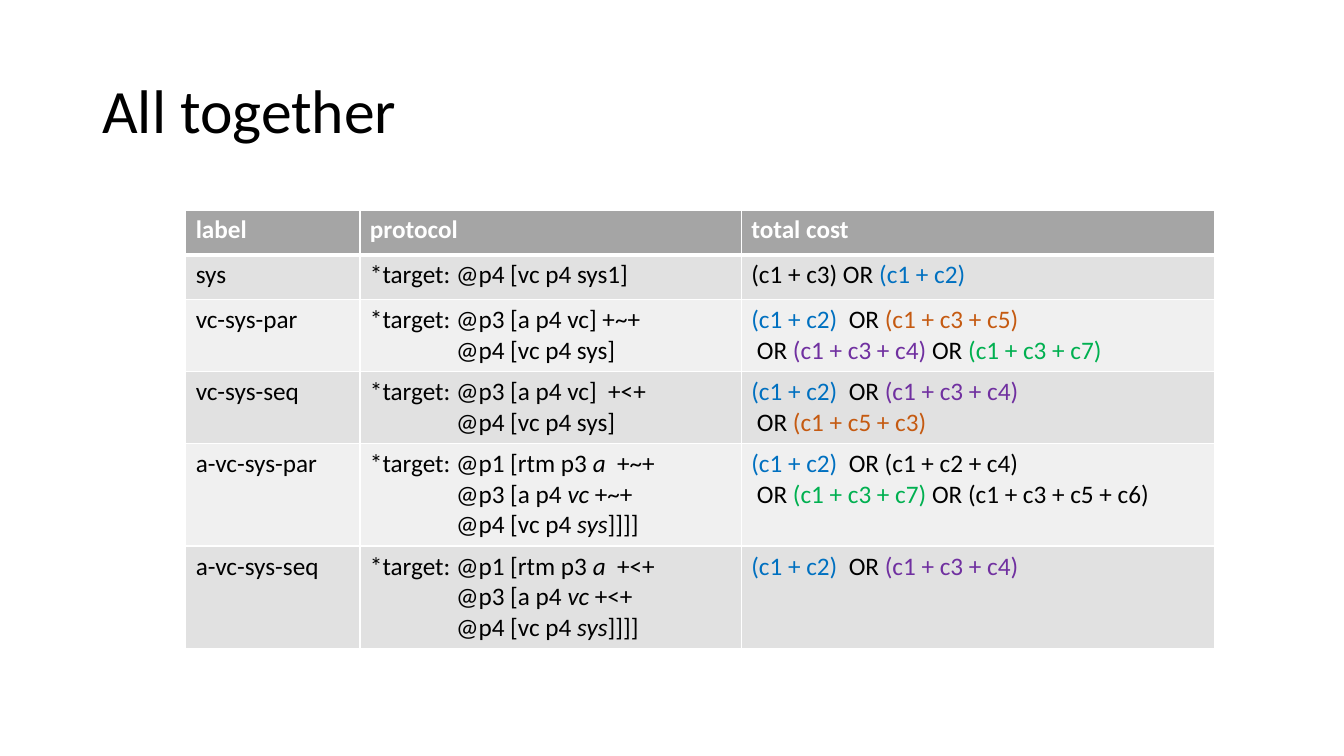
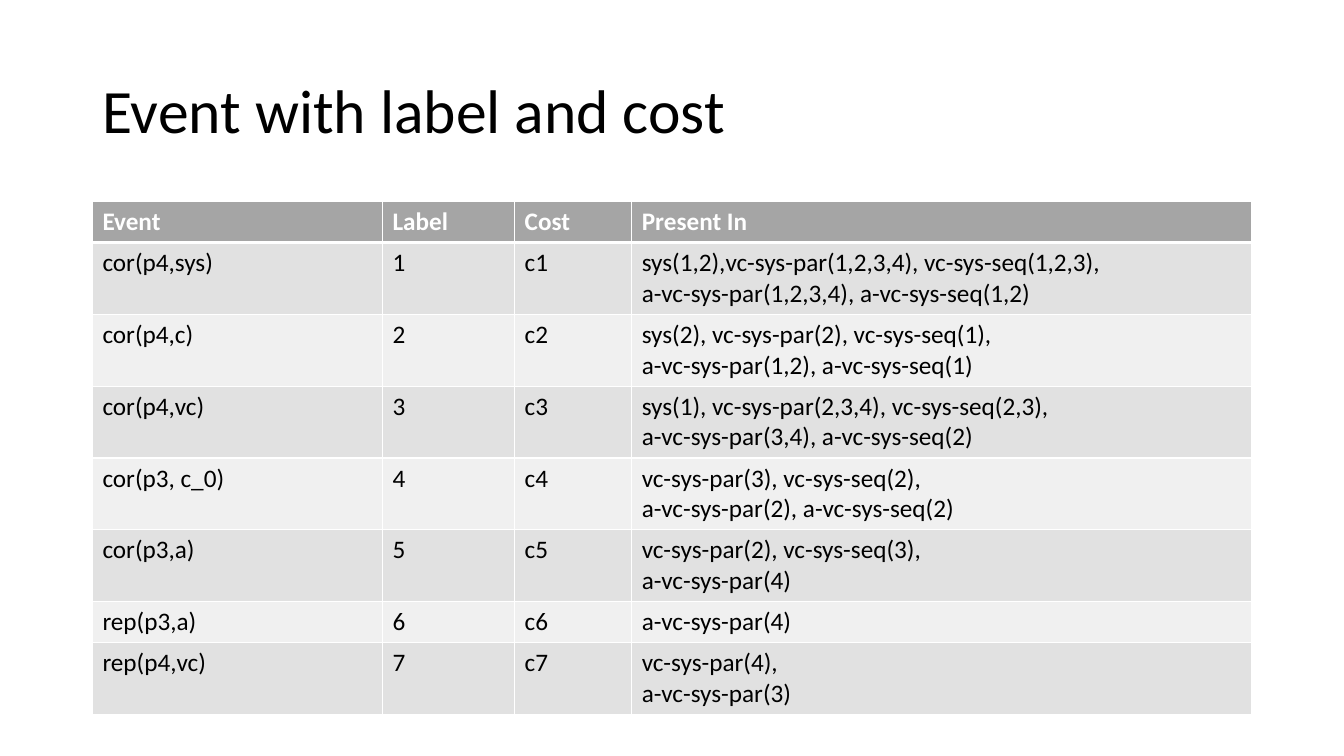
from lxml.etree import SubElement
from pptx import Presentation
from pptx.dml.color import RGBColor
from pptx.enum.text import MSO_ANCHOR
from pptx.oxml.ns import qn
from pptx.util import Cm, Pt

FONT = "Calibri"
BLACK, WHITE = "000000", "FFFFFF"
HEADER_FILL = "A5A5A5"
BAND_FILLS = ("E1E1E1", "F0F0F0")
LINE_HEIGHT, CELL_PADDING = 0.78, 0.25
MARK = "|"

TERM_COLOURS = {
    "(c1 + c2)": "0070C0",
    "(c1 + c3 + c4)": "7030A0",
    "(c1 + c3 + c5)": "C55A11",
    "(c1 + c5 + c3)": "C55A11",
    "(c1 + c3 + c7)": "00B050",
}

PROTOCOLS = [
    ("label", "protocol", "total cost"),
    ("sys", "*target: @p4 [vc p4 sys1]", "(c1 + c3) OR |(c1 + c2)|"),
    ("vc-sys-par",
     "*target: @p3 [a p4 vc] +~+\n@p4 [vc p4 sys]",
     "|(c1 + c2)|  OR |(c1 + c3 + c5)|\nOR |(c1 + c3 + c4)| OR |(c1 + c3 + c7)|"),
    ("vc-sys-seq",
     "*target: @p3 [a p4 vc]  +<+\n@p4 [vc p4 sys]",
     "|(c1 + c2)|  OR |(c1 + c3 + c4)|\nOR |(c1 + c5 + c3)|"),
    ("a-vc-sys-par",
     "*target: @p1 [rtm p3 |a|  +~+\n@p3 [a p4 |vc| +~+\n@p4 [vc p4 |sys|]]]]",
     "|(c1 + c2)|  OR (c1 + c2 + c4)\nOR |(c1 + c3 + c7)| OR (c1 + c3 + c5 + c6)"),
    ("a-vc-sys-seq",
     "*target: @p1 [rtm p3 |a|  +<+\n@p3 [a p4 |vc| +<+\n@p4 [vc p4 |sys|]]]]",
     "|(c1 + c2)|  OR |(c1 + c3 + c4)|"),
]

EVENTS = [
    ("cor(p4,sys)",
     "sys(1,2),vc-sys-par(1,2,3,4), vc-sys-seq(1,2,3),\n"
     "a-vc-sys-par(1,2,3,4), a-vc-sys-seq(1,2)"),
    ("cor(p4,c)",
     "sys(2), vc-sys-par(2), vc-sys-seq(1),\na-vc-sys-par(1,2), a-vc-sys-seq(1)"),
    ("cor(p4,vc)",
     "sys(1), vc-sys-par(2,3,4), vc-sys-seq(2,3),\na-vc-sys-par(3,4), a-vc-sys-seq(2)"),
    ("cor(p3, c_0)",
     "vc-sys-par(3), vc-sys-seq(2),\na-vc-sys-par(2), a-vc-sys-seq(2)"),
    ("cor(p3,a)", "vc-sys-par(2), vc-sys-seq(3),\na-vc-sys-par(4)"),
    ("rep(p3,a)", "a-vc-sys-par(4)"),
    ("rep(p4,vc)", "vc-sys-par(4),\na-vc-sys-par(3)"),
]


def rgb(colour):
    """Turn a hex string into a colour."""
    return RGBColor.from_string(colour)


def format_run(run, size, colour, bold=False, italic=False):
    """Set the font of one run."""
    run.font.name = FONT
    run.font.size = Pt(size)
    run.font.bold = bold
    run.font.italic = italic
    run.font.color.rgb = rgb(colour)


def add_titled_slide(deck, title):
    """Add a blank slide with the shared title style."""
    slide = deck.slides.add_slide(deck.slide_layouts[6])
    heading = slide.shapes.add_textbox(Cm(2.33), Cm(1.01), Cm(29.21), Cm(3.68))
    frame = heading.text_frame
    frame.word_wrap = True
    frame.vertical_anchor = MSO_ANCHOR.MIDDLE
    frame.text = title
    paragraph = frame.paragraphs[0]
    paragraph.line_spacing = 0.9
    format_run(paragraph.runs[0], 44, BLACK)
    return slide


def set_borders(cell, top, bottom):
    """Draw white borders, with the given top and bottom widths in points."""
    properties = cell._tc.get_or_add_tcPr()
    for side, width in (("L", 1), ("R", 1), ("T", top), ("B", bottom)):
        line = SubElement(properties, qn(f"a:ln{side}"), w=str(Pt(width)))
        fill = SubElement(line, qn("a:solidFill"))
        SubElement(fill, qn("a:srgbClr"), val=WHITE)


def write_cell(cell, text, is_header, indent):
    """Write text whose marked parts are coloured terms or else italic."""
    cell.text_frame.text = text
    for line, paragraph in enumerate(cell.text_frame.paragraphs):
        parts = paragraph.text.split(MARK)
        paragraph.clear()
        if line and indent:
            properties = paragraph._p.get_or_add_pPr()
            properties.set("marL", str(Cm(indent)))
            properties.set("indent", "0")
        for position, part in enumerate(parts):
            if not part:
                continue
            run = paragraph.add_run()
            run.text = part
            marked = position % 2 == 1
            colour = WHITE if is_header else TERM_COLOURS.get(part, BLACK) if marked else BLACK
            format_run(run, 18, colour, is_header, marked and part not in TERM_COLOURS)


def add_banded_table(slide, rows, left, top, widths, min_height, indents):
    """Add a table with a grey header, two band fills and white rules."""
    heights = [
        max(min_height, CELL_PADDING + LINE_HEIGHT * max(text.count("\n") + 1 for text in row))
        for row in rows
    ]
    table = slide.shapes.add_table(
        len(rows), len(widths), Cm(left), Cm(top), Cm(sum(widths)), Cm(sum(heights))
    ).table
    table.horz_banding = False
    for column, width in zip(table.columns, widths):
        column.width = Cm(width)
    for index, (row, height) in enumerate(zip(rows, heights)):
        table.rows[index].height = Cm(height)
        is_header = index == 0
        for column, text in enumerate(row):
            cell = table.cell(index, column)
            write_cell(cell, text, is_header, indents[column])
            set_borders(cell, 3 if index == 1 else 1, 3 if is_header else 1)
            cell.fill.solid()
            cell.fill.fore_color.rgb = rgb(HEADER_FILL if is_header else BAND_FILLS[(index - 1) % 2])


def main():
    """Build and save the two slides."""
    deck = Presentation()
    deck.slide_width, deck.slide_height = Cm(33.87), Cm(19.05)

    slide = add_titled_slide(deck, "All together")
    add_banded_table(slide, PROTOCOLS, 4.68, 5.29, (4.39, 9.61, 11.93), 1.13, (0, 2.17, 0.14))

    slide = add_titled_slide(deck, "Event with label and cost")
    events = [("Event", "Label", "Cost", "Present In")] + [
        (event, f"{label}", f"c{label}", presence)
        for label, (event, presence) in enumerate(EVENTS, start=1)
    ]
    add_banded_table(slide, events, 2.33, 5.08, (7.31, 3.33, 2.95, 15.62), 1.03, (0, 0, 0, 0))

    deck.save("out.pptx")


if __name__ == "__main__":
    main()
